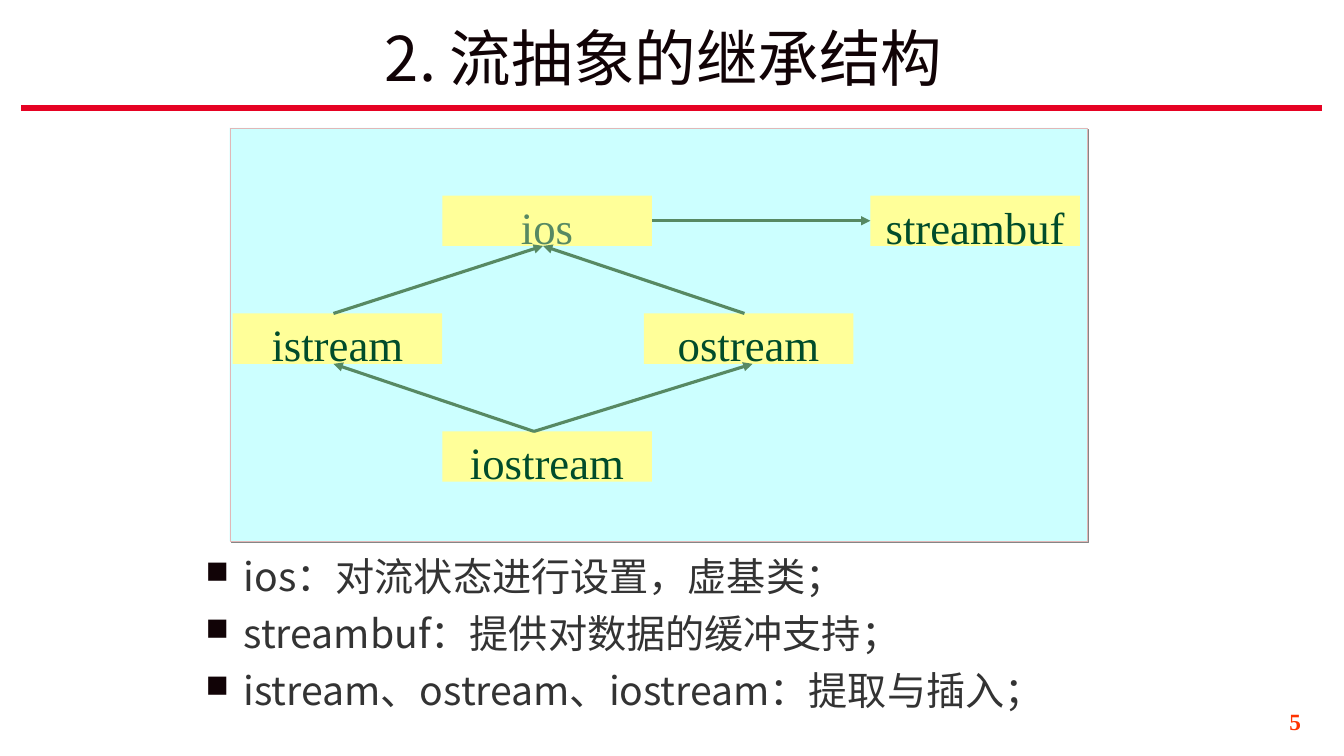
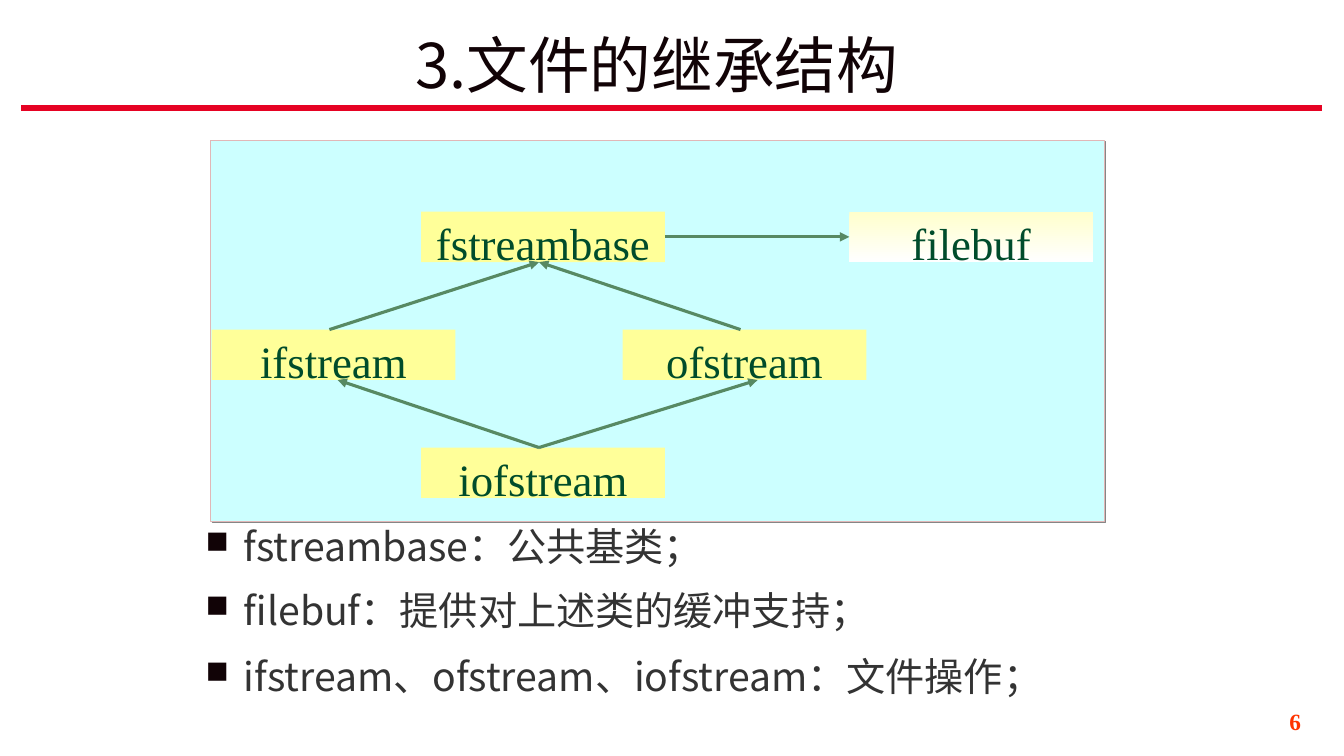
from lxml.etree import SubElement
from pptx import Presentation
from pptx.dml.color import RGBColor as RGB
from pptx.enum.shapes import MSO_CONNECTOR as LINK, MSO_SHAPE as SHAPE
from pptx.enum.text import MSO_ANCHOR as ANCHOR, MSO_AUTO_SIZE as FIT, PP_ALIGN as ALIGN
from pptx.oxml.ns import qn
from pptx.util import Emu, Pt

PX = 9144
COLORS = {
    "background": "FFFFFF", "rule": "E60223", "title": "110306", "body": "333333",
    "number": "FF3300", "panel": "CCFFFF", "panel_edge": "E1B7B7", "shadow": "868686",
    "class": "FFFF99", "fade_top": "FFFFCC", "class_name": "004C2B", "muted": "578963",
}
SANS, SERIF = "Noto Sans CJK SC", "Times New Roman"
TOP, LEFT, BOTTOM, RIGHT = range(4)
SIDES = {TOP: (0.5, 0), LEFT: (0, 0.5), BOTTOM: (0.5, 1), RIGHT: (1, 0.5)}
CLASS_HEIGHT, ROW_STEP = 50, 117
PLACES = {"base": (0, 0), "buffer": (425, 0), "input": (-208, 1),
          "output": (200, 1), "both": (0, 2)}
ARROWS = [("base", RIGHT, "buffer", LEFT), ("input", TOP, "base", BOTTOM),
          ("output", TOP, "base", BOTTOM), ("both", TOP, "input", BOTTOM),
          ("both", TOP, "output", BOTTOM)]


def px(value):
    return Emu(round(value * PX))


def rgb(name):
    return RGB.from_string(COLORS[name])


def apply(target, formats):
    for name, value in formats.items():
        setattr(target, name, value)


class Deck:
    def __init__(self):
        self.show = Presentation()
        apply(self.show, {"slide_width": px(1334), "slide_height": px(750)})
        self.slide = None

    def add_slide(self, number):
        self.slide = self.show.slides.add_slide(self.show.slide_layouts[6])
        backdrop = self.slide.background.fill
        backdrop.solid()
        backdrop.fore_color.rgb = rgb("background")
        self.line((21, 107), (1312, 107), "rule", 4.5)
        footer = self.text_area((1023, 700, 278, 40))
        self.add_text(footer.paragraphs[0], str(number), SERIF, 16.6, "number", bold=True,
                      alignment=ALIGN.RIGHT, line_spacing=0.9, space_before=Pt(11.2))

    def text_area(self, box, inset=True, **formats):
        frame = self.slide.shapes.add_textbox(*map(px, box)).text_frame
        across, down = (10, 5) if inset else (0, 0)
        apply(frame, {"word_wrap": True, "margin_left": px(across), "margin_right": px(across),
                      "margin_top": px(down), "margin_bottom": px(down), **formats})
        return frame

    def add_text(self, paragraph, words, face, size, color, bold=False, **formats):
        apply(paragraph, formats)
        run = paragraph.add_run()
        run.text = words
        apply(run.font, {"name": face, "size": Pt(size), "bold": bold})
        run.font.color.rgb = rgb(color)
        SubElement(run._r.get_or_add_rPr(), qn("a:ea"), typeface=face)

    def title(self, words, box, spacing, fit):
        heading = self.text_area(box, vertical_anchor=ANCHOR.MIDDLE, auto_size=fit)
        self.add_text(heading.paragraphs[0], words, SANS, 44, "title",
                      alignment=ALIGN.CENTER, line_spacing=spacing)

    def bullets(self, top, height, points, **formats):
        notes = self.text_area((204, top, 962, height), inset=False, **formats)
        for index, point in enumerate(points):
            paragraph = notes.add_paragraph() if index else notes.paragraphs[0]
            self.add_text(paragraph, point, SANS, 28, "body", space_before=Pt(7))
            layout = paragraph._p.get_or_add_pPr()
            layout.set("marL", str(px(38)))
            layout.set("indent", str(px(-38)))
            tint = SubElement(layout, qn("a:buClr"))
            SubElement(tint, qn("a:srgbClr"), val=COLORS["title"])
            SubElement(layout, qn("a:buSzPct"), val="80000")
            SubElement(layout, qn("a:buChar"), char="■")

    def rectangle(self, box, color):
        block = self.slide.shapes.add_shape(SHAPE.RECTANGLE, *map(px, box))
        block.shadow.inherit = False
        block.fill.solid()
        block.fill.fore_color.rgb = rgb(color)
        block.line.fill.background()
        return block

    def panel(self, box):
        panel = self.rectangle(box, "panel")
        panel.line.color.rgb = rgb("panel_edge")
        panel.line.width = Pt(0.25)
        effects = panel._element.spPr.find(qn("a:effectLst"))
        shadow = SubElement(effects, qn("a:outerShdw"), blurRad="0", dist=str(Pt(1.4)),
                            dir="2700000", algn="ctr", rotWithShape="0")
        SubElement(shadow, qn("a:srgbClr"), val=COLORS["shadow"])

    def class_box(self, name, box, color="class_name", faded=False):
        block = self.rectangle(box, "class")
        if faded:
            block.fill.gradient()
            block.fill.gradient_angle = 270
            for stop, shade in zip(block.fill.gradient_stops, ("fade_top", "background")):
                stop.color.rgb = rgb(shade)
        frame = block.text_frame
        apply(frame, {"word_wrap": False, "vertical_anchor": ANCHOR.MIDDLE,
                      "margin_left": px(10), "margin_right": px(10),
                      "margin_top": px(5), "margin_bottom": px(5)})
        self.add_text(frame.paragraphs[0], name, SERIF, 32, color, alignment=ALIGN.CENTER,
                      line_spacing=1.2, space_before=Pt(8))
        return block

    def line(self, start, end, color, width):
        line = self.slide.shapes.add_connector(LINK.STRAIGHT, *map(px, start + end))
        line.line.color.rgb = rgb(color)
        line.line.width = Pt(width)
        SubElement(line._element.spPr, qn("a:effectLst"))
        return line

    def arrow(self, source, source_side, target, target_side, shifts):
        ends = []
        for block, side, shift in zip((source, target), (source_side, target_side), shifts):
            across, down = SIDES[side]
            ends.append(((block.left + block.width * across) / PX + shift,
                         (block.top + block.height * down) / PX))
        arrow = self.line(*ends, "muted", 2.25)
        SubElement(arrow._element.spPr.find(qn("a:ln")), qn("a:tailEnd"), type="triangle")
        if not shifts[0]:
            arrow.begin_connect(source, source_side)
        if not shifts[1]:
            arrow.end_connect(target, target_side)

    def hierarchy(self, names, left, top, width, shifts, looks):
        classes = {}
        for (role, (offset, row)), name in zip(PLACES.items(), names):
            box = (left + offset, top + row * ROW_STEP, width, CLASS_HEIGHT)
            classes[role] = self.class_box(name, box, **looks.get(role, {}))
        for (source, leaving, target, entering), shift in zip(ARROWS, shifts):
            self.arrow(classes[source], leaving, classes[target], entering, shift)


def main():
    deck = Deck()

    deck.add_slide(5)
    deck.bullets(548, 160, ["ios：对流状态进行设置，虚基类；",
                            "streambuf：提供对数据的缓冲支持；",
                            "istream、ostream、iostream：提取与插入；"],
                 auto_size=FIT.SHAPE_TO_FIT_TEXT)
    deck.panel((228, 127, 851, 410))
    deck.hierarchy(["ios", "streambuf", "istream", "ostream", "iostream"], 439, 194, 208,
                   [(0, 0), (-4, -4), (-4, -4), (-13, -4), (-13, 4)],
                   {"base": {"color": "muted"}})
    deck.title("2. 流抽象的继承结构", (209, 34, 900, 62), 0.7, FIT.SHAPE_TO_FIT_TEXT)

    deck.add_slide(6)
    deck.title("3.文件的继承结构", (227, 35, 850, 56), 1.0, FIT.NONE)
    deck.panel((209, 139, 887, 378))
    deck.hierarchy(["fstreambase", "filebuf", "ifstream", "ofstream", "iofstream"], 418, 210, 242,
                   [(0, 0), (-4, -4), (-4, -4), (-4, 4), (-4, 13)],
                   {"buffer": {"faded": True}})
    for top, point in [(517, "fstreambase：公共基类；"),
                       (580, "filebuf：提供对上述类的缓冲支持；"),
                       (646, "ifstream、ofstream、iofstream：文件操作；")]:
        deck.bullets(top, 50, [point], vertical_anchor=ANCHOR.MIDDLE)

    deck.show.save("out.pptx")


if __name__ == "__main__":
    main()
